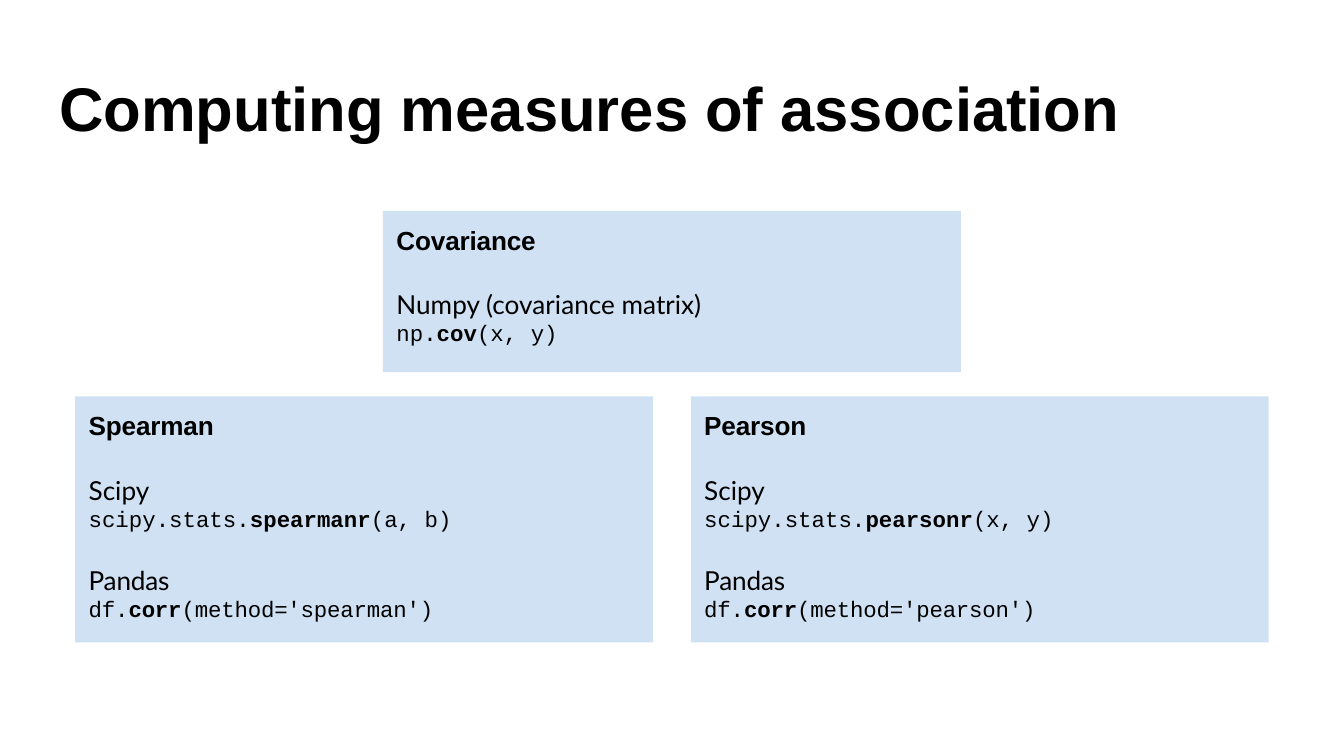
from pptx import Presentation
from pptx.dml.color import RGBColor as Rgb
from pptx.enum.shapes import MSO_SHAPE as Preset
from pptx.enum.text import MSO_ANCHOR as Anchor, PP_ALIGN as Align
from pptx.util import Inches, Pt

SLIDE_W = 10
SLIDE_H = SLIDE_W * 9 / 16
COLORS = {"ink": "000000", "card": "CFE1F3"}
CARD_W, GUTTER = 4.3, 0.28
COLUMNS = [2 * GUTTER, 2 * GUTTER + CARD_W + GUTTER]
CENTER = (SLIDE_W - CARD_W) / 2
ROWS = [1.57, 2.95]
SECTION_GAP = 17.8

HEADING = dict(font="Arial", size=14, bold=True, tracking=-0.1)
LIBRARY = dict(font="Lato", size=14, leading=16.5, before=SECTION_GAP)
CODE = dict(font="Courier New", size=12, leading=14.1)


def add_text(paragraph, *parts, font, size, bold=False, tracking=0,
             indent=0.1, before=0, leading=None):
    paragraph.alignment = Align.LEFT
    paragraph.space_before = Pt(before)
    if leading:
        paragraph.line_spacing = Pt(leading)
    properties = paragraph._p.get_or_add_pPr()
    properties.set("marL", str(Inches(indent)))
    properties.set("indent", "0")
    for position, part in enumerate(parts):
        run = paragraph.add_run()
        run.text = part
        run.font.name = font
        run.font.size = Pt(size)
        run.font.bold = bold or position % 2 == 1
        run.font.color.rgb = Rgb.from_string(COLORS["ink"])
        if tracking:
            run.font._element.set("spc", str(round(tracking * 100)))


def set_frame(frame, top_inset):
    frame.word_wrap = True
    frame.vertical_anchor = Anchor.TOP
    frame.margin_left = frame.margin_right = frame.margin_bottom = 0
    frame.margin_top = Inches(top_inset)


def add_title(slide, box, title):
    heading = slide.shapes.add_textbox(*map(Inches, box))
    set_frame(heading.text_frame, 0.02)
    add_text(heading.text_frame.paragraphs[0], title,
             font="Arial", size=33, bold=True, indent=0.01)


def add_measure_card(slide, box, measure, sections):
    card = slide.shapes.add_shape(Preset.RECTANGLE, *map(Inches, box))
    card.shadow.inherit = False
    card.fill.solid()
    card.fill.fore_color.rgb = Rgb.from_string(COLORS["card"])
    card.line.fill.background()
    frame = card.text_frame
    set_frame(frame, 0.1)
    add_text(frame.paragraphs[0], measure, **HEADING)
    for library, call, tracking in sections:
        add_text(frame.add_paragraph(), library, tracking=tracking, **LIBRARY)
        add_text(frame.add_paragraph(), *call, tracking=tracking, **CODE)


def correlation_sections(method, arguments):
    return [
        ("Scipy", ("scipy.stats.", f"{method}r", arguments), 0),
        ("Pandas", ("df.", "corr", f"(method='{method}')"), -0.1),
    ]


def main():
    deck = Presentation()
    deck.slide_width, deck.slide_height = Inches(SLIDE_W), Inches(SLIDE_H)
    slide = deck.slides.add_slide(deck.slide_layouts[6])
    add_title(slide, (0.43, 0.5, 7.92, 0.58), "Computing measures of association")
    add_measure_card(slide, (CENTER, ROWS[0], CARD_W, 1.2), "Covariance",
                     [("Numpy (covariance matrix)", ("np.", "cov", "(x, y)"), 0)])
    correlations = [("Spearman", "(a, b)"), ("Pearson", "(x, y)")]
    for column, (measure, arguments) in zip(COLUMNS, correlations):
        add_measure_card(slide, (column, ROWS[1], CARD_W, 1.83), measure,
                         correlation_sections(measure.lower(), arguments))
    deck.save("out.pptx")


if __name__ == "__main__":
    main()
